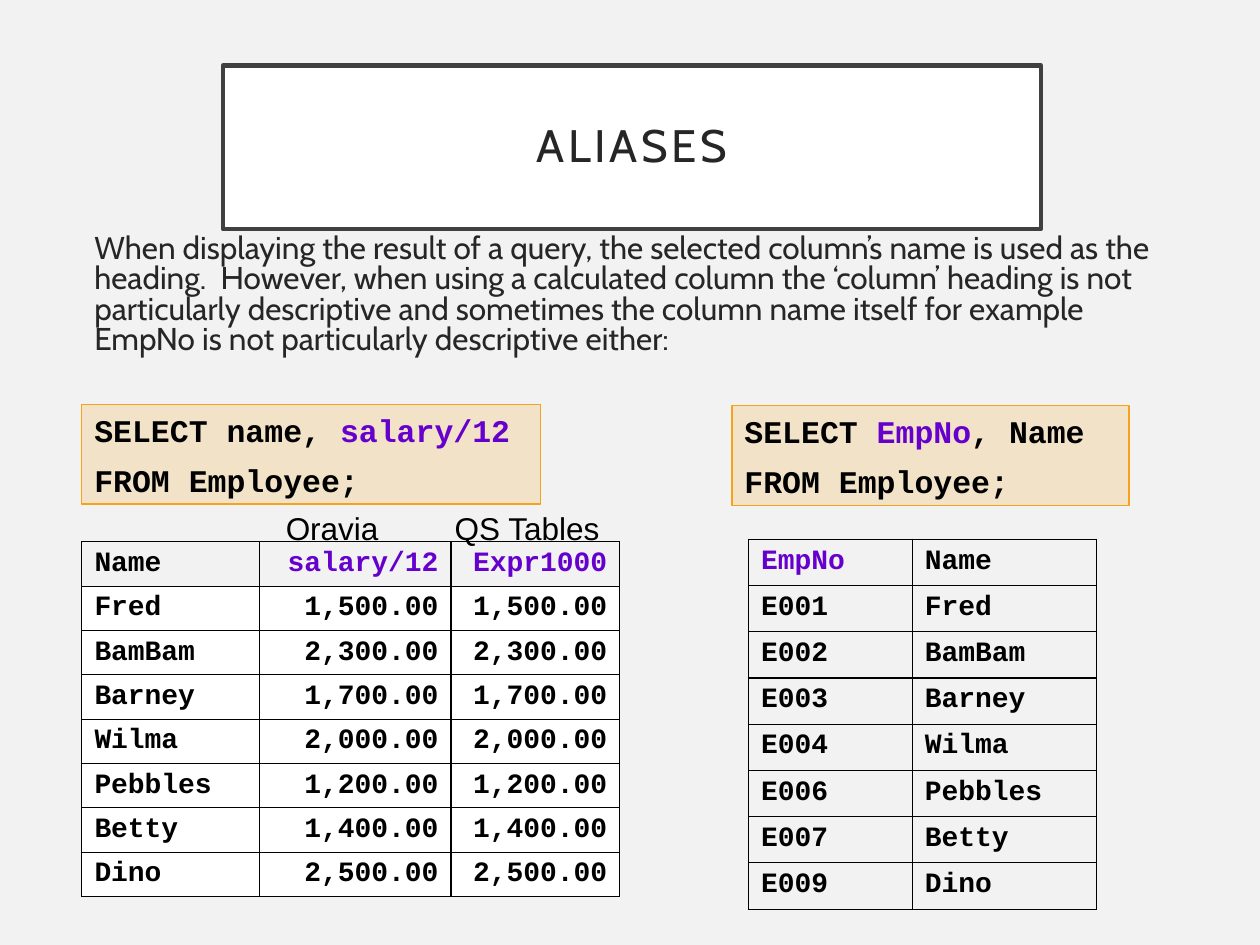
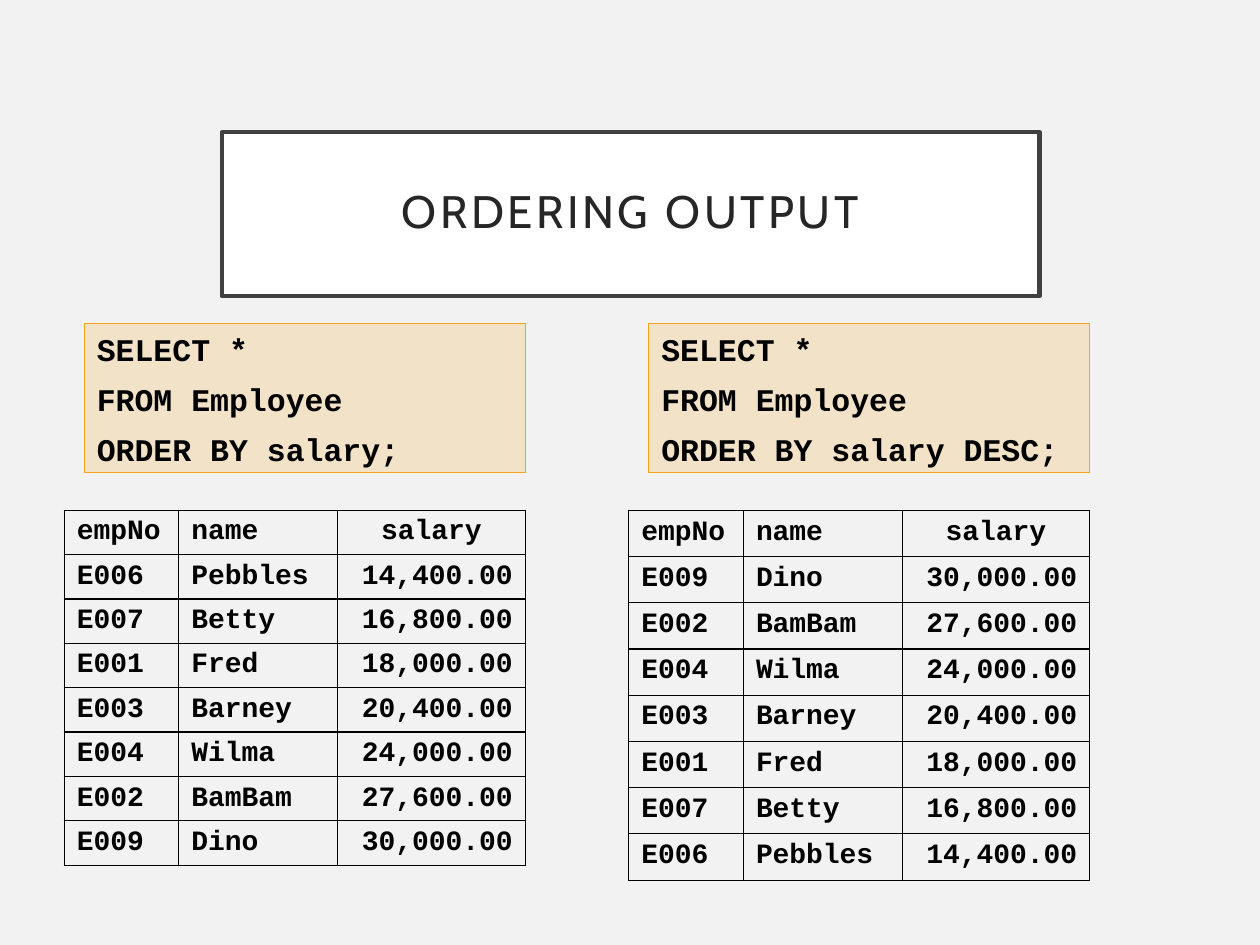
import pptx
import pptx.util
import pptx.oxml
import pptx.oxml.ns
import pptx.dml.color
import pptx.enum.text
import pptx.enum.shapes
from pptx.util import Inches

INK, DARK, FRAME = "000000", "262626", "404040"
WHITE, PAGE, AMBER, PURPLE = "FFFFFF", "F2F2F2", "F6A21D", "6600CC"
SANS, CODE, PLAIN = "Cabin", "Courier New", "Arial"
ALIGN = {
    "l": pptx.enum.text.PP_ALIGN.LEFT,
    "c": pptx.enum.text.PP_ALIGN.CENTER,
    "r": pptx.enum.text.PP_ALIGN.RIGHT,
}
TOP = pptx.enum.text.MSO_ANCHOR.TOP
MIDDLE = pptx.enum.text.MSO_ANCHOR.MIDDLE


def paint(code):
    """Turn a hex string into a colour."""
    return pptx.dml.color.RGBColor.from_string(code)


def write(frame, text, font=CODE, size=18, color=INK, bold=False, align="l",
          accent="", before=0, after=0, lead=1.0, track=0):
    """Fill a text frame, one paragraph a line, with the accent in purple."""
    frame.word_wrap = True
    for i, line in enumerate(text.split("\n")):
        para = frame.paragraphs[0] if i == 0 else frame.add_paragraph()
        para.alignment = ALIGN[align]
        para.line_spacing = lead
        para.space_before = pptx.util.Pt(before)
        para.space_after = pptx.util.Pt(after)
        parts = line.partition(accent) if accent else (line,)
        for part in filter(None, parts):
            run = para.add_run()
            run.text = part
            run.font.name = font
            run.font.size = pptx.util.Pt(size)
            run.font.bold = bold
            run.font.color.rgb = paint(PURPLE if part == accent else color)
            if track:
                run.font._element.set("spc", str(track * 100))


# Staff: number, name and yearly salary
staff = [
    ("E001", "Fred", 18000), ("E002", "BamBam", 27600),
    ("E003", "Barney", 20400), ("E004", "Wilma", 24000),
    ("E006", "Pebbles", 14400), ("E007", "Betty", 16800),
    ("E009", "Dino", 30000),
]
monthly = [(name, f"{pay / 12:,.2f}", f"{pay / 12:,.2f}")
           for _, name, pay in staff]
named = [(num, name) for num, name, _ in staff]
rising = [(num, name, f"{pay:,.2f}")
          for num, name, pay in sorted(staff, key=lambda row: row[2])]
heads = ("empNo", "name", "salary")
widths = (0.91, 1.26, 1.49)

# Each query: left, top, width, height, text, accent
# Each table: left, top, column widths, row height, head, rows,
#             head alignment, row alignment, accents, row fill
pages = [
    {
        "title": "ALIASES", "at": (1.77, 0.52),
        "queries": [
            (0.65, 3.21, 3.64, 0.79,
             "SELECT name, salary/12\nFROM Employee;", "salary/12"),
            (5.81, 3.22, 3.15, 0.79,
             "SELECT EmpNo, Name\nFROM Employee;", "EmpNo"),
        ],
        "tables": [
            (0.65, 4.3, (1.41, 1.52, 1.34), 0.35,
             ("Name", "salary/12", "Expr1000"), monthly,
             "lrr", "lrr", ("salary/12", "Expr1000"), WHITE),
            (5.94, 4.28, (1.3, 1.46), 0.367, ("EmpNo", "Name"), named,
             "ll", "ll", ("EmpNo",), None),
        ],
    },
    {
        "title": "ORDERING OUTPUT", "at": (1.76, 1.05),
        "queries": [
            (0.67, 2.57, 3.5, 1.18,
             "SELECT *\nFROM Employee\nORDER BY salary;", ""),
            (5.15, 2.57, 3.5, 1.18,
             "SELECT *\nFROM Employee\nORDER BY salary DESC;", ""),
        ],
        "tables": [
            (0.51, 4.05, widths, 0.35, heads, rising, "llc", "llr", (), None),
            (4.99, 4.05, widths, 0.367, heads, rising[::-1],
             "llc", "llr", (), None),
        ],
    },
]

deck = pptx.Presentation()
deck.slide_width, deck.slide_height = Inches(10), Inches(7.5)
back = deck.slide_master.background.fill
back.solid()
back.fore_color.rgb = paint(PAGE)

for page in pages:
    slide = deck.slides.add_slide(deck.slide_layouts[5])
    shapes = slide.shapes

    # Framed title
    title = shapes.title
    title.left, title.top = map(Inches, page["at"])
    title.width, title.height = Inches(6.49), Inches(1.3)
    title.fill.solid()
    title.fill.fore_color.rgb = paint(WHITE)
    title.line.color.rgb = paint(FRAME)
    title.line.width = pptx.util.Pt(2.5)
    frame = title.text_frame
    frame.auto_size = pptx.enum.text.MSO_AUTO_SIZE.NONE
    frame.vertical_anchor = MIDDLE
    frame.margin_left = frame.margin_right = Inches(0.2)
    frame.margin_top = frame.margin_bottom = Inches(0.2)
    write(frame, page["title"], font=SANS, size=26, color=DARK, align="c",
          lead=0.9, track=2)

    # Query boxes
    for left, top, width, height, text, accent in page["queries"]:
        box = shapes.add_shape(
            pptx.enum.shapes.MSO_SHAPE.RECTANGLE,
            Inches(left), Inches(top), Inches(width), Inches(height))
        box.shadow.inherit = False
        box.fill.solid()
        box.fill.fore_color.rgb = paint(AMBER)
        tint = box.element.spPr.find(".//" + pptx.oxml.ns.qn("a:srgbClr"))
        alpha = pptx.oxml.parse_xml(
            f'<a:alpha {pptx.oxml.ns.nsdecls("a")} val="20000"/>')
        tint.append(alpha)
        box.line.color.rgb = paint(AMBER)
        box.line.width = pptx.util.Pt(0.75)
        box.text_frame.vertical_anchor = TOP
        write(box.text_frame, text, bold=True, accent=accent, after=7)

    # Result tables
    for (left, top, cols, high, head, rows, headway, way,
         accents, fill) in page["tables"]:
        lines = [head, *rows]
        table = shapes.add_table(
            len(lines), len(cols), Inches(left), Inches(top),
            Inches(sum(cols)), Inches(high * len(lines))).table
        table.first_row = table.horz_banding = False
        for col, width in zip(table.columns, cols):
            col.width = Inches(width)
        for r, line in enumerate(lines):
            table.rows[r].height = Inches(high)
            for c, text in enumerate(line):
                cell = table.cell(r, c)
                props = cell._tc.get_or_add_tcPr()
                for side in ("lnL", "lnR", "lnT", "lnB"):
                    props.append(pptx.oxml.parse_xml(
                        f'<a:{side} {pptx.oxml.ns.nsdecls("a")} w="9525">'
                        f'<a:solidFill><a:srgbClr val="{INK}"/></a:solidFill>'
                        f'</a:{side}>'))
                if fill and r:
                    cell.fill.solid()
                    cell.fill.fore_color.rgb = paint(fill)
                else:
                    cell.fill.background()
                cell.vertical_anchor = TOP if r else MIDDLE
                write(cell.text_frame, text, size=16, bold=True,
                      align=(way if r else headway)[c],
                      accent=text if text in accents else "")

# Explanation and column labels on the first slide
shapes = deck.slides[0].shapes
intro = shapes.add_textbox(
    Inches(0.65), Inches(1.82), Inches(8.74), Inches(1.14))
write(intro.text_frame,
      "When displaying the result of a query, the selected column’s name is "
      "used as the heading.  However, when using a calculated column the "
      "‘column’ heading is not particularly descriptive and sometimes the "
      "column name itself for example EmpNo is not particularly descriptive "
      "either:",
      font=SANS, color=DARK, before=10, lead=0.8)

label = shapes.add_textbox(
    Inches(2.17), Inches(3.99), Inches(2.83), Inches(0.4))
write(label.text_frame, "Oravia\tQS Tables", font=PLAIN)
stops = pptx.oxml.parse_xml(
    f'<a:tabLst {pptx.oxml.ns.nsdecls("a")}>'
    f'<a:tab pos="{Inches(1.34)}" algn="l"/></a:tabLst>')
label.text_frame.paragraphs[0]._p.get_or_add_pPr().append(stops)

deck.save("out.pptx")
